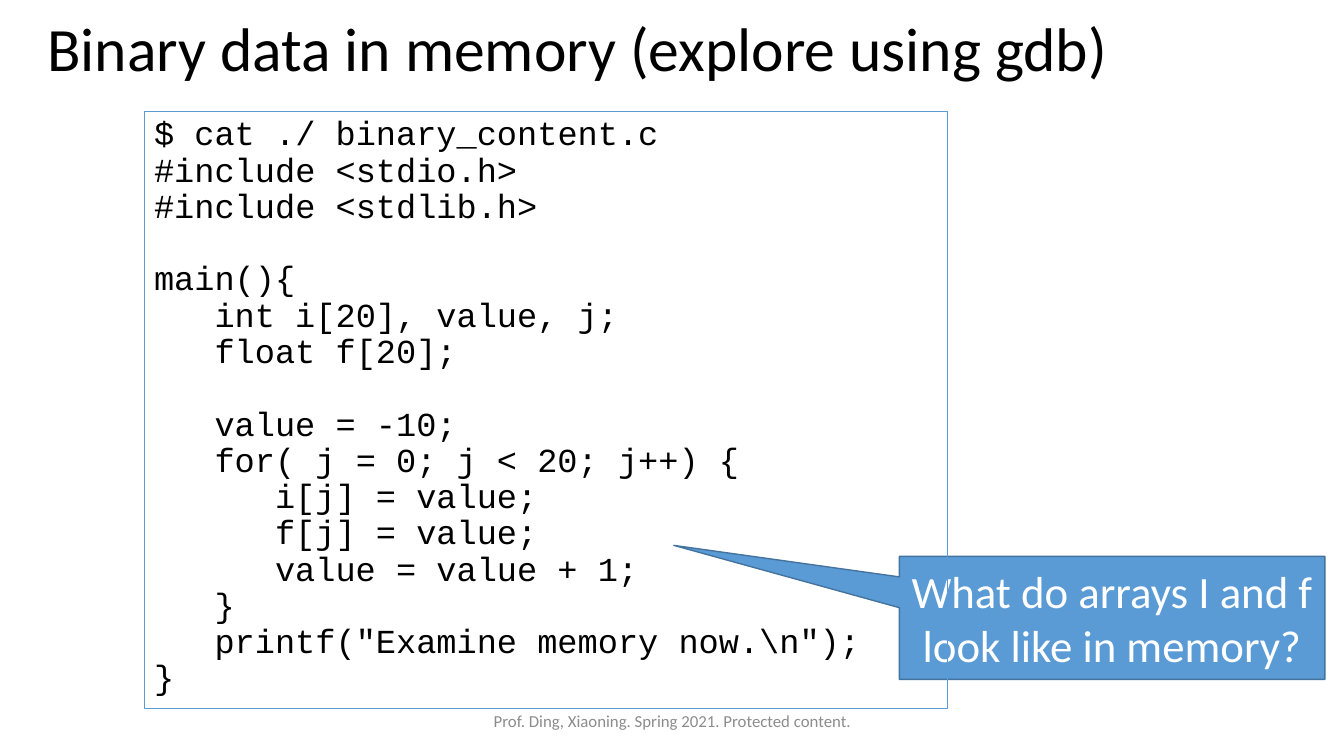
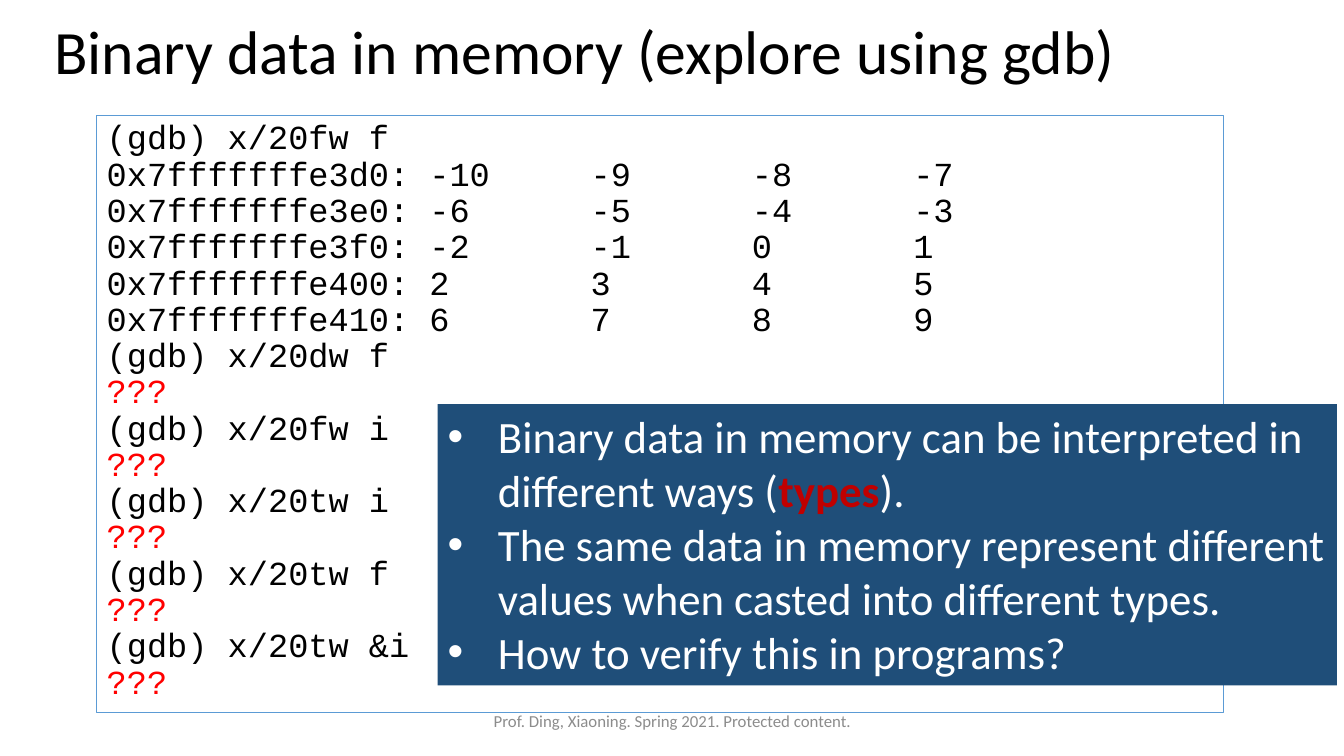
from lxml import etree
from pptx import Presentation
from pptx.dml.color import RGBColor
from pptx.enum import shapes, text
from pptx.oxml import ns
from pptx.util import Inches, Pt

BLACK = RGBColor(0x00, 0x00, 0x00)
WHITE = RGBColor(0xFF, 0xFF, 0xFF)
GREY = RGBColor(0x8C, 0x8C, 0x8C)
BLUE = RGBColor(0x5B, 0x9B, 0xD5)
EDGE = RGBColor(0x43, 0x73, 0x9E)
NAVY = RGBColor(0x1F, 0x4E, 0x79)
RED = RGBColor(0xFF, 0x00, 0x00)
DARK_RED = RGBColor(0xC0, 0x00, 0x00)

BODY_FONT, CODE_FONT = "Calibri", "Courier New"
CODE_INDENT = 0.6
CODE_LINE = 25.9
DUMP_TABS = [3.2 + 1.6 * n for n in range(4)]

TITLE = "Binary data in memory (explore using gdb)"
FOOTER = "Prof. Ding, Xiaoning. Spring 2021. Protected content."
QUESTION = "What do arrays I and f look like in memory?"

PROGRAM = [
    [(0, "$ cat ./ binary_content.c"),
     (0, "#include <stdio.h>"),
     (0, "#include <stdlib.h>")],
    [(0, "main(){"),
     (1, "int i[20], value, j;"),
     (1, "float f[20];")],
    [(1, "value = -10;"),
     (1, "for( j = 0; j < 20; j++) {"),
     (2, "i[j] = value;"),
     (2, "f[j] = value;"),
     (2, "value = value + 1;"),
     (1, "}"),
     (1, 'printf("Examine memory now.\\n");'),
     (0, "}")],
]

DUMP = [
    ("0x7fffffffe3d0:", -10, -9, -8, -7),
    ("0x7fffffffe3e0:", -6, -5, -4, -3),
    ("0x7fffffffe3f0:", -2, -1, 0, 1),
    ("0x7fffffffe400:", 2, 3, 4, 5),
    ("0x7fffffffe410:", 6, 7, 8, 9),
]
DUMP_COMMAND = "(gdb) x/20fw f"
OPEN_COMMANDS = ["(gdb) x/20dw f", "(gdb) x/20fw i", "(gdb) x/20tw i",
                 "(gdb) x/20tw f", "(gdb) x/20tw &i"]
UNKNOWN = "???"

POINTS = [
    [("Binary data in memory can be interpreted in different ways (", {}),
     ("types", {"color": DARK_RED, "bold": True}),
     (").", {})],
    "The same data in memory represent different values when casted into different types.",
    "How to verify this in programs?",
]


def add_text(tf, content, size, color=BLACK, font=BODY_FONT, align=text.PP_ALIGN.LEFT,
             spacing=None, before=0, indent=0, bullet=None, tabs=()):
    p = tf.paragraphs[0]
    if p.runs:
        p = tf.add_paragraph()
    p.alignment = align
    p.space_before = Pt(before)
    if spacing:
        p.line_spacing = spacing
    pPr = p._p.get_or_add_pPr()
    if indent:
        pPr.set("marL", str(Inches(indent)))
    if bullet:
        pPr.set("indent", str(-Inches(indent)))
        etree.SubElement(pPr, ns.qn("a:buFont")).set("typeface", "Arial")
        etree.SubElement(pPr, ns.qn("a:buChar")).set("char", bullet)
    if tabs:
        tab_list = etree.SubElement(pPr, ns.qn("a:tabLst"))
        for pos in tabs:
            etree.SubElement(tab_list, ns.qn("a:tab"), pos=str(Inches(pos)), algn="l")
    runs = [(content, {})] if isinstance(content, str) else content
    for words, change in runs:
        r = p.add_run()
        r.text = words
        r.font.name, r.font.size = font, Pt(size)
        r.font.bold = change.get("bold", False)
        r.font.color.rgb = change.get("color", color)


def add_code(tf, line, **fmt):
    add_text(tf, line, 24, font=CODE_FONT, spacing=0.9, **fmt)


def add_label(slide, box, content, size, **fmt):
    tf = slide.shapes.add_textbox(*map(Inches, box)).text_frame
    tf.word_wrap = True
    tf.vertical_anchor = text.MSO_ANCHOR.MIDDLE
    add_text(tf, content, size, **fmt)


def add_panel(slide, box, kind=shapes.MSO_SHAPE.RECTANGLE, fill=None, line=None,
              width=0.75, anchor=text.MSO_ANCHOR.TOP):
    sp = slide.shapes.add_shape(kind, *map(Inches, box))
    sp.shadow.inherit = False
    if fill is None:
        sp.fill.background()
    else:
        sp.fill.solid()
        sp.fill.fore_color.rgb = fill
    if line is None:
        sp.line.fill.background()
    else:
        sp.line.color.rgb = line
        sp.line.width = Pt(width)
    sp.text_frame.word_wrap = True
    sp.text_frame.vertical_anchor = anchor
    return sp


def add_slide(prs, title_box):
    slide = prs.slides.add_slide(prs.slide_layouts[6])
    add_label(slide, title_box, TITLE, 44, spacing=0.9)
    add_label(slide, (4.42, 6.95, 4.5, 0.4), FOOTER, 12, color=GREY,
              align=text.PP_ALIGN.CENTER)
    return slide


def build_program(prs):
    slide = add_slide(prs, (0.37, 0.02, 12.39, 0.98))
    callout = add_panel(slide, (8.92, 5.52, 4.22, 1.22),
                        kind=shapes.MSO_SHAPE.RECTANGULAR_CALLOUT, fill=BLUE,
                        line=EDGE, width=1, anchor=text.MSO_ANCHOR.MIDDLE)
    callout.adjustments[0] = -1.03
    callout.adjustments[1] = -0.59
    add_text(callout.text_frame, QUESTION, 32, color=WHITE, align=text.PP_ALIGN.CENTER)
    tf = add_panel(slide, (1.43, 1.11, 7.97, 5.92), line=BLUE).text_frame
    for b, block in enumerate(PROGRAM):
        for n, (level, line) in enumerate(block):
            add_code(tf, line, indent=level * CODE_INDENT,
                     before=CODE_LINE if b and n == 0 else 0)


def build_session(prs):
    slide = add_slide(prs, (0.44, 0.09, 12.39, 0.9))
    tf = add_panel(slide, (0.96, 1.15, 11.18, 5.92), line=BLUE).text_frame
    add_code(tf, DUMP_COMMAND)
    for row in DUMP:
        add_code(tf, "\t".join(map(str, row)), tabs=DUMP_TABS)
    for command in OPEN_COMMANDS:
        add_code(tf, command)
        add_code(tf, UNKNOWN, color=RED)
    tf = add_panel(slide, (4.34, 4.01, 8.92, 2.79), fill=NAVY).text_frame
    for point in POINTS:
        add_text(tf, point, 32, color=WHITE, indent=0.5, bullet="•")


def main():
    prs = Presentation()
    prs.slide_width, prs.slide_height = Inches(13.33), Inches(7.5)
    build_program(prs)
    build_session(prs)
    prs.save("out.pptx")


if __name__ == "__main__":
    main()
